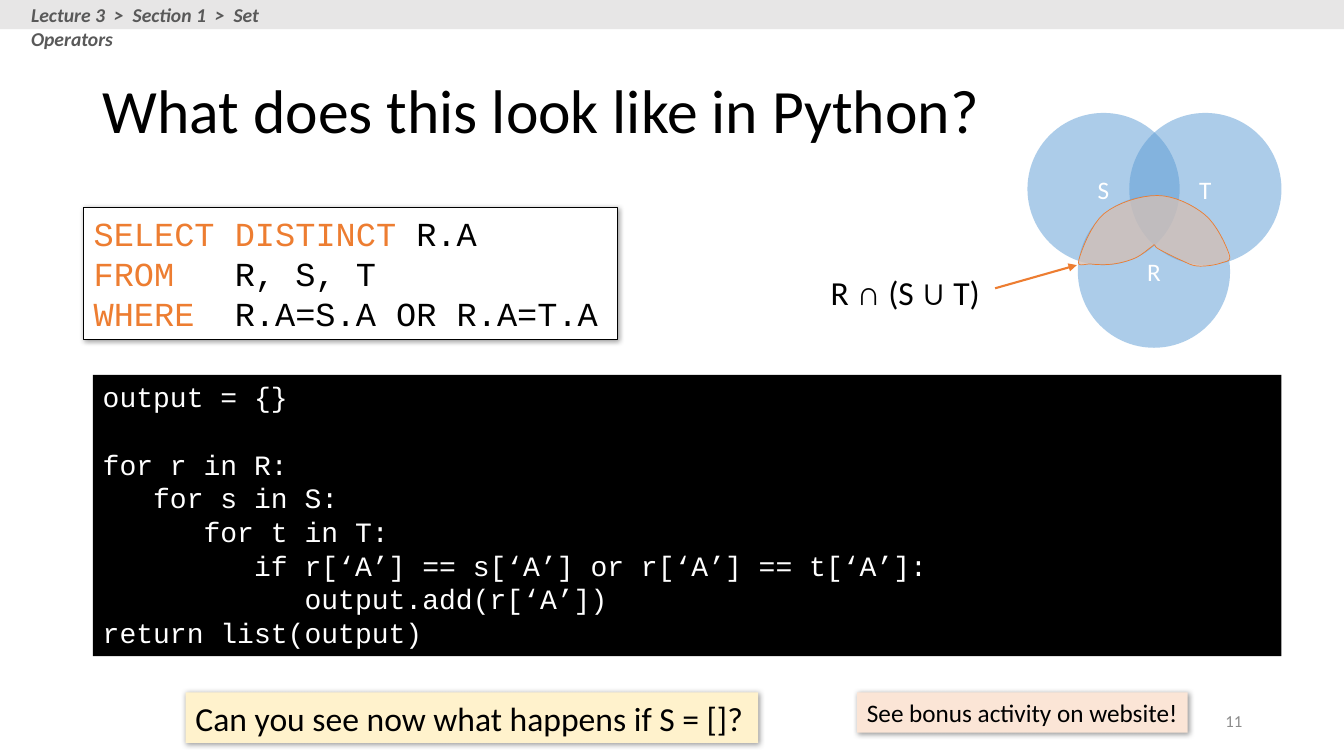
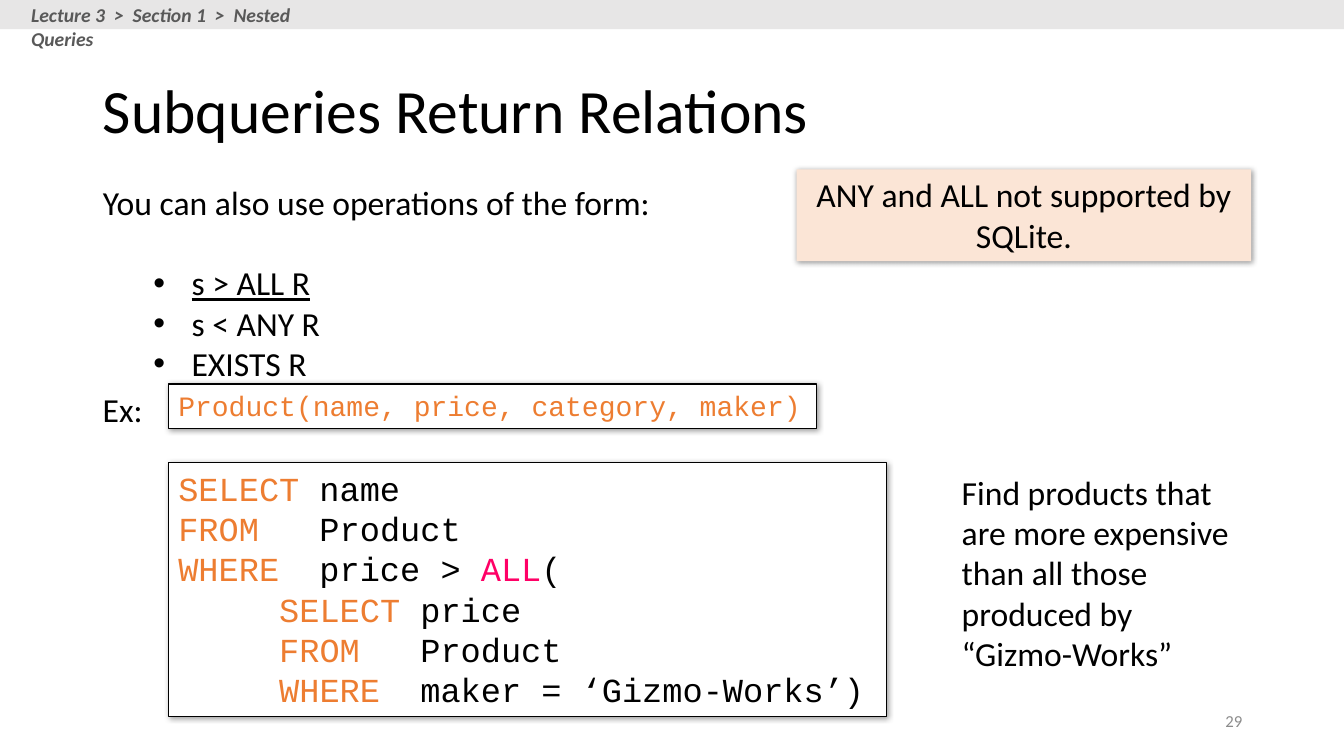
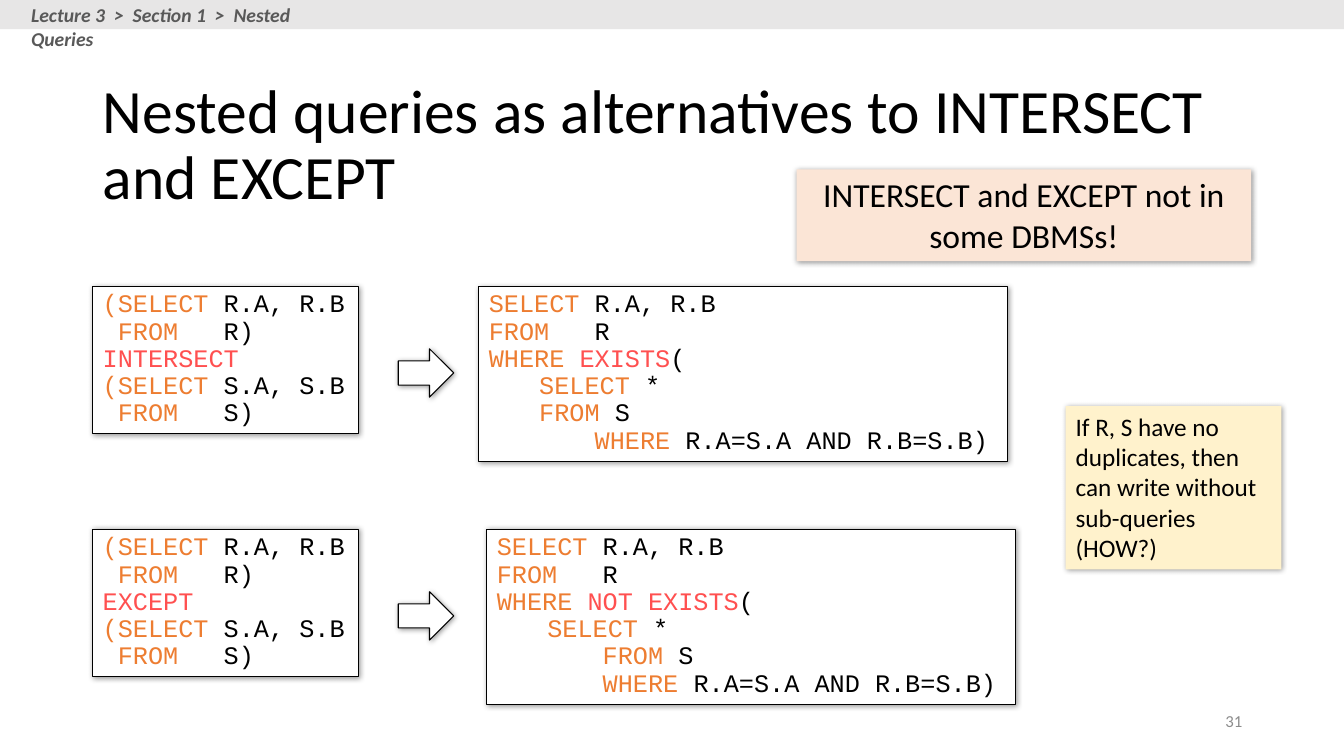
from dataclasses import dataclass

from lxml import etree
from pptx import Presentation
from pptx import util as u
from pptx.dml.color import RGBColor
from pptx.enum import shapes, text
from pptx.oxml.ns import qn


@dataclass(frozen=True)
class Theme:
    black: str = "000000"
    white: str = "FFFFFF"
    band: str = "E7E6E6"
    crumb: str = "595959"
    number: str = "8C8C8C"
    keyword: str = "ED7D31"
    pink: str = "FF0066"
    red: str = "FF5050"
    circle: str = "5B9BD5"
    overlap: str = "F8CBAD"
    yellow: str = "FFF2CC"
    peach: str = "FBE5D6"
    sans: str = "Calibri"
    mono: str = "Courier New"
    symbol: str = "Arial"
    title: int = 44
    large: int = 24
    medium: int = 20
    small: int = 18
    crumb_size: int = 14
    number_size: int = 12


THEME = Theme()
# A piece of a line that starts with one of these marks takes that colour or font.
MARK_COLORS = {"#": THEME.keyword, "!": THEME.pink, "^": THEME.red}
SYMBOL_MARK = "@"


def rgb(color):
    return RGBColor.from_string(color)


def inches(*lengths):
    return [u.Inches(length) for length in lengths]


def add_element(parent, tag, **attributes):
    child = etree.SubElement(parent, qn(tag))
    for name, value in attributes.items():
        child.set(name, str(value))
    return child


def smooth_outline(points, steps=8):
    """Closed Catmull-Rom curve through the points."""
    count = len(points)
    outline = []
    for i in range(count):
        a, b, c, d = (points[(i + k) % count] for k in (-1, 0, 1, 2))
        for step in range(steps):
            t = step / steps
            outline.append(tuple(
                (2 * q + (r - p) * t + (2 * p - 5 * q + 4 * r - s) * t ** 2
                 + (3 * q - p - 3 * r + s) * t ** 3) / 2
                for p, q, r, s in zip(a, b, c, d)))
    return outline


class Lecture:
    """The deck's style together with the page being filled."""

    def __init__(self):
        self.deck = Presentation()
        self.deck.slide_width, self.deck.slide_height = inches(13.33, 7.5)
        self.page = None

    def new_page(self, title, section, number, crumb_width=3.38, title_top=0.4, body=False):
        self.page = self.deck.slides.add_slide(self.deck.slide_layouts[1 if body else 5])
        heading = self.page.shapes.title
        self.place(heading, (0.92, title_top, 11.5, 1.45))
        self.set_lines(heading, [title], THEME.title, spacing=0.9, anchor=text.MSO_ANCHOR.MIDDLE)
        self.shape((0, 0, 13.33, 0.29), THEME.band)
        crumb = self.label((0.21, -0.02, crumb_width, 0.34),
                           [f"Lecture 3  >  Section 1  >  {section}"],
                           THEME.crumb_size, color=THEME.crumb)
        font = crumb.text_frame.paragraphs[0].font
        font.bold = font.italic = True
        self.label((9.42, 6.95, 3, 0.4), [str(number)], THEME.number_size, color=THEME.number,
                   align=text.PP_ALIGN.RIGHT, anchor=text.MSO_ANCHOR.MIDDLE)

    def place(self, shape, at):
        shape.left, shape.top, shape.width, shape.height = inches(*at)

    def set_lines(self, shape, lines, size, color=THEME.black, font=THEME.sans, spacing=None,
                  align=text.PP_ALIGN.LEFT, anchor=text.MSO_ANCHOR.TOP, wrap=True):
        """Set one paragraph per line; "|" splits a line into marked pieces."""
        box = shape.text_frame
        box.word_wrap = wrap
        box.auto_size = text.MSO_AUTO_SIZE.NONE
        box.vertical_anchor = anchor
        for i, line in enumerate(lines):
            para = box.add_paragraph() if i else box.paragraphs[0]
            para.alignment = align
            if spacing:
                para.line_spacing = spacing
            para.font.size = u.Pt(size)
            para.font.name = font
            para.font.color.rgb = rgb(color)
            for piece in line.split("|"):
                mark = piece[0]
                span = para.add_run()
                if mark in MARK_COLORS:
                    span.font.color.rgb = rgb(MARK_COLORS[mark])
                    piece = piece[1:]
                elif mark == SYMBOL_MARK:
                    span.font.name = THEME.symbol
                    piece = piece[1:]
                span.text = piece

    def label(self, at, lines, size=THEME.large, **style):
        box = self.page.shapes.add_textbox(*inches(*at))
        self.set_lines(box, lines, size, **style)
        return box

    def paint(self, shape, fill, line=None, width=0.75, opacity=None, shadow=False):
        shape.fill.solid()
        shape.fill.fore_color.rgb = rgb(fill)
        if line:
            shape.line.color.rgb = rgb(line)
            shape.line.width = u.Pt(width)
        else:
            shape.line.fill.background()
        shape.shadow.inherit = False
        properties = shape.element.spPr
        if opacity:
            add_element(properties.find(qn("a:solidFill"))[0], "a:alpha", val=opacity * 1000)
        if shadow:
            outer = add_element(properties.find(qn("a:effectLst")), "a:outerShdw",
                                blurRad=u.Pt(4), dist=u.Pt(1), dir=45 * 60000,
                                algn="tl", rotWithShape=0)
            add_element(add_element(outer, "a:srgbClr", val=THEME.black), "a:alpha", val=40000)

    def shape(self, at, fill, kind=shapes.MSO_SHAPE.RECTANGLE, **look):
        shape = self.page.shapes.add_shape(kind, *inches(*at))
        self.paint(shape, fill, **look)
        return shape

    def note(self, at, line, fill, size=THEME.large, **style):
        self.set_lines(self.shape(at, fill, shadow=True), [line], size, **style)

    def query(self, at, lines, size=THEME.large, spacing=None):
        panel = self.shape(at, THEME.white, line=THEME.black, shadow=True)
        self.set_lines(panel, lines, size, font=THEME.mono, spacing=spacing, wrap=False)

    def program(self, at, lines):
        panel = self.shape(at, THEME.black)
        self.set_lines(panel, lines, THEME.medium, color=THEME.white, font=THEME.mono)
        return panel.text_frame

    def block_arrow(self, at):
        self.shape(at, THEME.white, shapes.MSO_SHAPE.RIGHT_ARROW, line=THEME.black, shadow=True)

    def circle(self, left, top, name):
        disc = self.shape((left, top, 1.51, 1.51), THEME.circle, shapes.MSO_SHAPE.OVAL, opacity=50)
        self.set_lines(disc, [name], THEME.small, color=THEME.white,
                       align=text.PP_ALIGN.CENTER, anchor=text.MSO_ANCHOR.MIDDLE)

    def region(self, points):
        outline = [inches(*point) for point in smooth_outline(points)]
        builder = self.page.shapes.build_freeform(*outline[0])
        builder.add_line_segments(outline[1:], close=True)
        self.paint(builder.convert_to_shape(), THEME.overlap, line=THEME.keyword,
                   width=0.5, opacity=60)

    def pointer(self, start, end):
        arrow = self.page.shapes.add_connector(shapes.MSO_CONNECTOR.STRAIGHT,
                                               *inches(*start, *end))
        arrow.line.color.rgb = rgb(THEME.keyword)
        arrow.line.width = u.Pt(1.5)
        properties = arrow.element.spPr
        add_element(properties.find(qn("a:ln")), "a:tailEnd", type="triangle")
        add_element(properties, "a:effectLst")

    def bullet_list(self, at, intro, items):
        body = self.page.placeholders[1]
        self.place(body, at)
        self.set_lines(body, [intro, *items], THEME.large)
        first, *rest = body.text_frame.paragraphs
        for para in (first, *rest):
            para.space_before = u.Pt(0)
            properties = para._p.get_or_add_pPr()
            defaults = properties.find(qn("a:defRPr"))
            if para is first:
                properties.set("marL", "0")
                properties.set("indent", "0")
                defaults.addprevious(etree.Element(qn("a:buNone")))
            else:
                para.level = 1
                properties.set("marL", str(u.Inches(0.88)))
                properties.set("indent", str(u.Inches(-0.38)))
                bullet_font = etree.Element(qn("a:buFont"), typeface=THEME.symbol)
                defaults.addprevious(bullet_font)
                defaults.addprevious(etree.Element(qn("a:buChar"), char="•"))
        rest[0].space_before = u.Pt(29)
        return rest


def python_page(lecture):
    lecture.new_page("What does this look like in Python?", "Set Operators", 11, crumb_width=3.27)
    lecture.query((0.83, 2.06, 5.29, 1.31), [
        "#SELECT DISTINCT| R.A",
        "#FROM|   R, S, T",
        "#WHERE|  R.A=S.A OR R.A=T.A",
    ])
    lecture.label((8.14, 2.65, 1.72, 0.5), ["R |@∩| (S |@∪| T)"], wrap=False)
    for left, top, name in ((10.19, 1.12, "S"), (11.2, 1.12, "T"), (10.69, 1.94, "R")):
        lecture.circle(left, top, name)
    lecture.pointer((9.87, 2.86), (10.68, 2.63))
    lecture.region([
        (10.7, 2.58), (10.95, 2.12), (11.48, 1.94), (11.95, 2.13), (12.19, 2.52),
        (12.11, 2.61), (11.88, 2.64), (11.71, 2.58), (11.49, 2.47), (11.45, 2.43),
        (11.42, 2.45), (11.26, 2.56), (11.04, 2.62), (10.82, 2.62),
    ])
    code = lecture.program((0.92, 3.72, 11.79, 2.79), [
        "output = {}",
        "for r in R:",
        "   for s in S:",
        "      for t in T:",
        "         if r[‘A’] == s[‘A’] or r[‘A’] == t[‘A’]:",
        "            output.add(r[‘A’])",
        "return list(output)",
    ])
    code.paragraphs[1].space_before = u.Pt(24)
    lecture.note((1.84, 6.87, 5.68, 0.5), "Can you see now what happens if S = []?",
                 THEME.yellow, wrap=False)
    lecture.note((8.5, 6.87, 3.28, 0.4), "See bonus activity on website!",
                 THEME.peach, THEME.small, wrap=False)


def subqueries_page(lecture):
    lecture.new_page("Subqueries Return Relations", "Nested Queries", 29, body=True)
    lecture.query((1.67, 4.59, 7.12, 2.52), [
        "#SELECT| name",
        "#FROM|   Product",
        "#WHERE|  price > |!ALL|(",
        "#     SELECT| price",
        "#     FROM|   Product",
        "#     WHERE|  maker = ‘Gizmo-Works’)",
    ])
    lecture.query((1.67, 3.81, 6.43, 0.44), ["#Product(name, price, category, maker)"],
                  THEME.medium)
    operations = lecture.bullet_list((0.92, 1.75, 5.72, 2.13),
                                     "You can also use operations of the form:",
                                     ["s > ALL R", "s < ANY R", "EXISTS R"])
    operations[0].runs[0].font.underline = True
    lecture.label((9.44, 4.63, 2.95, 2.12), [
        "Find products that are more expensive than all those produced by “Gizmo-Works”"])
    lecture.label((0.92, 3.81, 0.7, 0.5), ["Ex:"])
    lecture.note((7.9, 1.68, 4.51, 0.91), "ANY and ALL not supported by SQLite.",
                 THEME.peach, align=text.PP_ALIGN.CENTER)


def alternatives_page(lecture):
    lecture.new_page("Nested queries as alternatives to INTERSECT and EXCEPT",
                     "Nested Queries", 31, title_top=0.73)
    rows = (
        (2.84, "INTERSECT", "EXISTS", 4.75, "\t"),
        (5.25, "EXCEPT", "NOT EXISTS", 4.83, "       "),
    )
    for top, operator, test, nested_left, from_indent in rows:
        lecture.query((0.92, top, 2.64, 1.46), [
            "#(SELECT| R.A, R.B",
            "# FROM|   R)",
            f"^{operator}",
            "#(SELECT| S.A, S.B",
            "# FROM|   S)",
        ], THEME.small, spacing=0.9)
        lecture.block_arrow((3.95, top + 0.62, 0.55, 0.48))
        lecture.query((nested_left, top, 5.24, 1.74), [
            "#SELECT| R.A, R.B",
            "#FROM|   R",
            f"#WHERE |^{test}|(",
            "#\tSELECT| *",
            f"#{from_indent}FROM| S",
            "#       WHERE| R.A=S.A AND R.B=S.B)",
        ], THEME.small, spacing=0.9)
    lecture.note((7.9, 1.68, 4.51, 0.91), "INTERSECT and EXCEPT not in some DBMSs!",
                 THEME.peach, align=text.PP_ALIGN.CENTER)
    lecture.note((10.57, 4.03, 2.14, 1.62),
                 "If R, S have no duplicates, then can write without sub-queries (HOW?)",
                 THEME.yellow, THEME.small)


def main():
    lecture = Lecture()
    python_page(lecture)
    subqueries_page(lecture)
    alternatives_page(lecture)
    lecture.deck.save("out.pptx")


if __name__ == "__main__":
    main()
